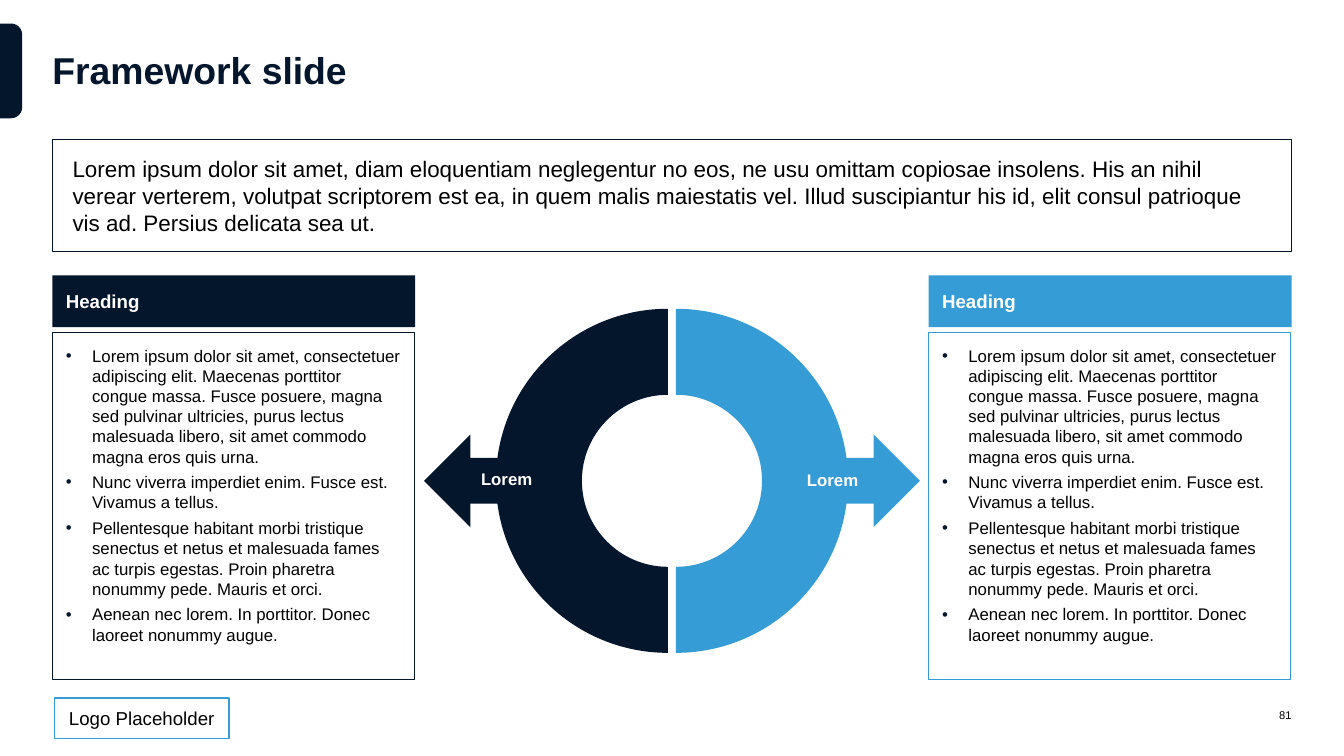
"""Builds a framework slide: a summary, two bullet panels and a split ring."""
from dataclasses import dataclass
from math import asin, cos, pi, sin, tan

from lxml.etree import SubElement
from pptx import Presentation
from pptx.dml.color import RGBColor as Color
from pptx.enum.shapes import MSO_SHAPE as Shape
from pptx.enum.text import MSO_ANCHOR as Anchor, MSO_AUTO_SIZE as AutoSize, PP_ALIGN as Align
from pptx.oxml.ns import qn
from pptx.util import Inches, Pt


@dataclass(frozen=True)
class Theme:
    font: str = "Arial"
    navy: str = "04162B"
    blue: str = "359CD5"
    black: str = "000000"
    white: str = "FFFFFF"
    title: int = 40
    summary: int = 24
    heading: int = 20
    body: int = 18
    number: int = 12


THEME = Theme()
MARGIN, CONTENT_WIDTH = 0.78, 18.44
HEADING_WIDTH, LIST_WIDTH = 5.4, 5.38
RING_MIDDLE, RING_GAP = 10, 0.12
RING_CENTER_Y, OUTER_RADIUS, INNER_RADIUS = 7.155, 2.56, 1.28
SHAFT_HALF, HEAD_HALF, HEAD_START, HEAD_TIP = 0.34, 0.69, 2.94, 3.63

SUMMARY = (
    "Lorem ipsum dolor sit amet, diam eloquentiam neglegentur no eos, ne usu omittam "
    "copiosae insolens. His an nihil verear verterem, volutpat scriptorem est ea, in quem "
    "malis maiestatis vel. Illud suscipiantur his id, elit consul patrioque vis ad. "
    "Persius delicata sea ut."
)
BULLETS = [
    "Lorem ipsum dolor sit amet, consectetuer adipiscing elit. Maecenas porttitor congue "
    "massa. Fusce posuere, magna sed pulvinar ultricies, purus lectus malesuada libero, "
    "sit amet commodo magna eros quis urna.",
    "Nunc viverra imperdiet enim. Fusce est. Vivamus a tellus.",
    "Pellentesque habitant morbi tristique senectus et netus et malesuada fames ac turpis "
    "egestas. Proin pharetra nonummy pede. Mauris et orci.",
    "Aenean nec lorem. In porttitor. Donec laoreet nonummy augue.",
]


def paint(shape, fill=None, line=None, width=0.75):
    """Set the fill and outline of a shape."""
    if fill:
        shape.fill.solid()
        shape.fill.fore_color.rgb = Color.from_string(fill)
    else:
        shape.fill.background()
    if line:
        shape.line.color.rgb = Color.from_string(line)
        shape.line.width = Pt(width)
    else:
        shape.line.fill.background()


def write(box, text, size, color, bold=False, align=Align.LEFT, anchor=Anchor.MIDDLE,
          inset=0, wrap=True):
    """Fill a box with text and format its runs."""
    frame = box.text_frame
    frame.text = text
    frame.word_wrap = wrap
    frame.auto_size = AutoSize.NONE
    frame.vertical_anchor = anchor
    frame.margin_left = frame.margin_right = Inches(inset)
    frame.margin_top = frame.margin_bottom = Inches(inset)
    for para in frame.paragraphs:
        para.alignment = align
        for span in para.runs:
            span.font.name = THEME.font
            span.font.size = Pt(size)
            span.font.bold = bold
            span.font.color.rgb = Color.from_string(color)


def place(shape, left, top, width, height):
    """Move and size a placeholder."""
    shape.left, shape.top = Inches(left), Inches(top)
    shape.width, shape.height = Inches(width), Inches(height)


def add_box(page, left, top, width, height, fill=None, line=None, line_width=0.75,
            kind=Shape.RECTANGLE):
    """Add a flat preset shape."""
    box = page.shapes.add_shape(kind, Inches(left), Inches(top), Inches(width), Inches(height))
    box.shadow.inherit = False
    paint(box, fill, line, line_width)
    return box


def add_label(page, text, left, top, width, height, size, color, **style):
    """Add a plain text box."""
    box = page.shapes.add_textbox(Inches(left), Inches(top), Inches(width), Inches(height))
    write(box, text, size, color, **style)


def add_bullet(para):
    """Give a paragraph a hanging navy bullet."""
    properties = para._p.get_or_add_pPr()
    properties.set("marL", str(Inches(0.39)))
    properties.set("indent", str(-Inches(0.39)))
    bullet_color = SubElement(properties, qn("a:buClr"))
    SubElement(bullet_color, qn("a:srgbClr"), val=THEME.navy)
    SubElement(properties, qn("a:buFont"), typeface=THEME.font)
    SubElement(properties, qn("a:buChar"), char="•")


def add_panel(page, body, left, color):
    """Add a coloured heading above an outlined bullet list."""
    heading = add_box(page, left, 4.1, HEADING_WIDTH, 0.77, fill=color)
    write(heading, "Heading", THEME.heading, THEME.white, bold=True, inset=0.2)
    place(body, left, 4.94, LIST_WIDTH, 5.17)
    paint(body, line=color)
    write(body, "\n".join(BULLETS), THEME.body, THEME.black, anchor=Anchor.TOP, inset=0.2)
    for index, para in enumerate(body.text_frame.paragraphs):
        add_bullet(para)
        para.space_before = Pt(3 if index else 0)
        para.space_after = Pt(3)


def curve(radius, start, end):
    """Give the two control points and the end point of a circular arc."""
    pull = 4 / 3 * tan((end - start) / 4)
    return [
        (radius * (cos(start) - pull * sin(start)), radius * (sin(start) + pull * cos(start))),
        (radius * (cos(end) + pull * sin(end)), radius * (sin(end) - pull * cos(end))),
        (radius * cos(end), radius * sin(end)),
    ]


def add_half_ring(page, side, color):
    """Add half a ring with an outward arrow; side is -1 for left, 1 for right."""
    opening = asin(SHAFT_HALF / OUTER_RADIUS)
    arrow = [
        (HEAD_START, -SHAFT_HALF), (HEAD_START, -HEAD_HALF), (HEAD_TIP, 0),
        (HEAD_START, HEAD_HALF), (HEAD_START, SHAFT_HALF),
        (OUTER_RADIUS * cos(opening), SHAFT_HALF),
    ]
    steps = [
        curve(OUTER_RADIUS, -pi / 2, -opening), *[[point] for point in arrow],
        curve(OUTER_RADIUS, opening, pi / 2), [(0, INNER_RADIUS)],
        curve(INNER_RADIUS, pi / 2, 0), curve(INNER_RADIUS, 0, -pi / 2),
    ]
    center = RING_MIDDLE + side * RING_GAP / 2

    def locate(point):
        return Inches(center + side * point[0]), Inches(RING_CENTER_Y + point[1])

    builder = page.shapes.build_freeform(*locate((0, -OUTER_RADIUS)))
    builder.add_line_segments([locate(step[-1]) for step in steps], close=True)
    ring = builder.convert_to_shape()
    for segment, step in zip(list(ring._element.iter(qn("a:lnTo"))), steps):
        if len(step) == 3:
            segment.tag = qn("a:cubicBezTo")
            for index, point in enumerate(step[:2]):
                x, y = locate(point)
                control = SubElement(segment, qn("a:pt"), x=str(x - ring.left), y=str(y - ring.top))
                segment.insert(index, control)
    ring.shadow.inherit = False
    paint(ring, color)


def main():
    """Build and save the slide."""
    deck = Presentation()
    deck.slide_width, deck.slide_height = Inches(20), Inches(11.25)
    page = deck.slides.add_slide(deck.slide_layouts[3])
    title, left_body, right_body = page.placeholders

    tab = add_box(page, -0.54, 0.89, 1.41, 0.33, fill=THEME.navy, kind=Shape.ROUND_2_SAME_RECTANGLE)
    tab.rotation = 90
    tab.adjustments[0] = 0.5
    logo = add_box(page, 0.81, 10.39, 2.6, 0.6, THEME.white, THEME.blue, 1.5,
                   Shape.ROUNDED_RECTANGLE)
    logo.adjustments[0] = 0
    write(logo, "Logo Placeholder", THEME.heading, THEME.black, align=Align.CENTER)

    place(title, MARGIN, 0.34, CONTENT_WIDTH, 1.39)
    write(title, "Framework slide", THEME.title, THEME.navy, bold=True)
    summary = add_box(page, MARGIN, 2.07, CONTENT_WIDTH, 1.67, line=THEME.navy,
                      kind=Shape.FLOWCHART_PROCESS)
    write(summary, SUMMARY, THEME.summary, THEME.black, inset=0.3)

    right_panel = MARGIN + CONTENT_WIDTH - HEADING_WIDTH
    sides = [
        (-1, left_body, MARGIN, THEME.navy, 7.54, 7.12),
        (1, right_body, right_panel, THEME.blue, 12.39, 7.14),
    ]
    for side, body, left, color, label_x, label_y in sides:
        add_panel(page, body, left, color)
        add_half_ring(page, side, color)
        add_label(page, "Lorem", label_x - 0.45, label_y - 0.17, 0.9, 0.34, THEME.body,
                  THEME.white, bold=True, align=Align.CENTER, wrap=False)

    add_label(page, "81", 18.34, 10.39, 0.88, 0.51, THEME.number, THEME.black, align=Align.RIGHT)
    deck.save("out.pptx")


if __name__ == "__main__":
    main()
